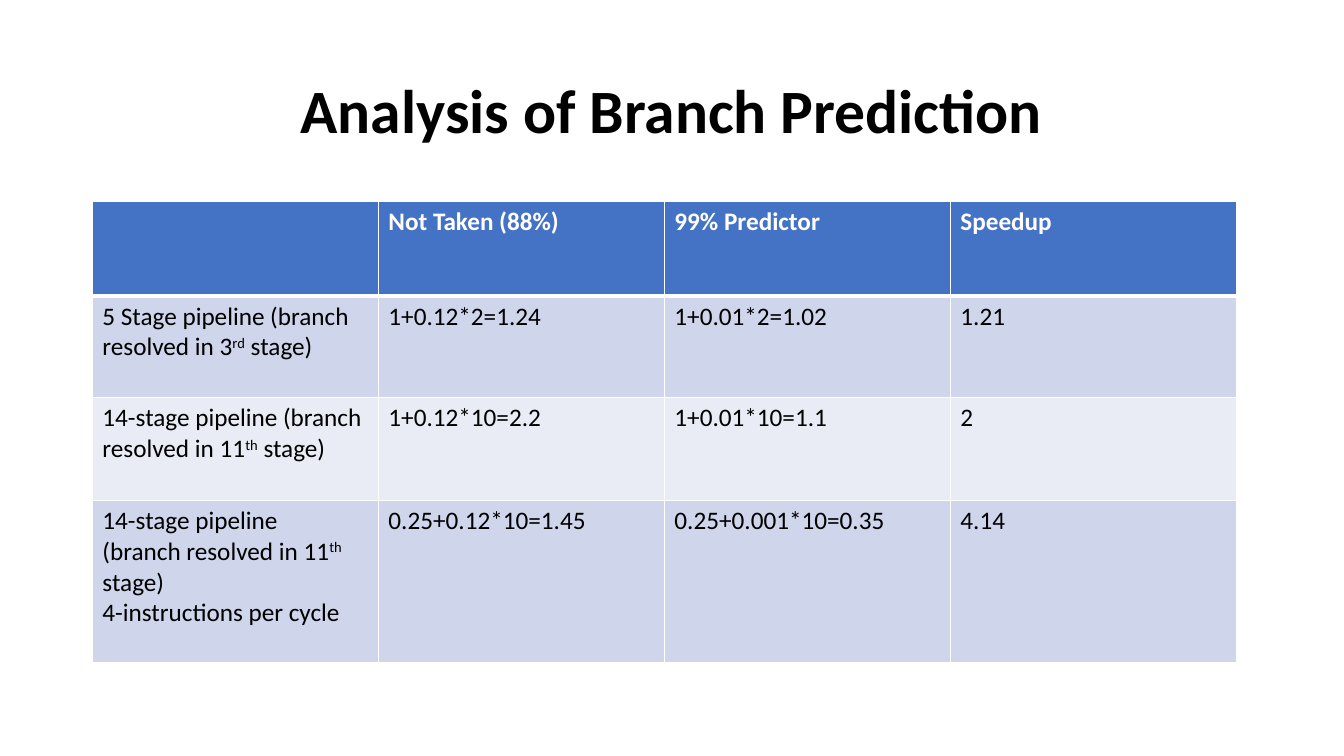
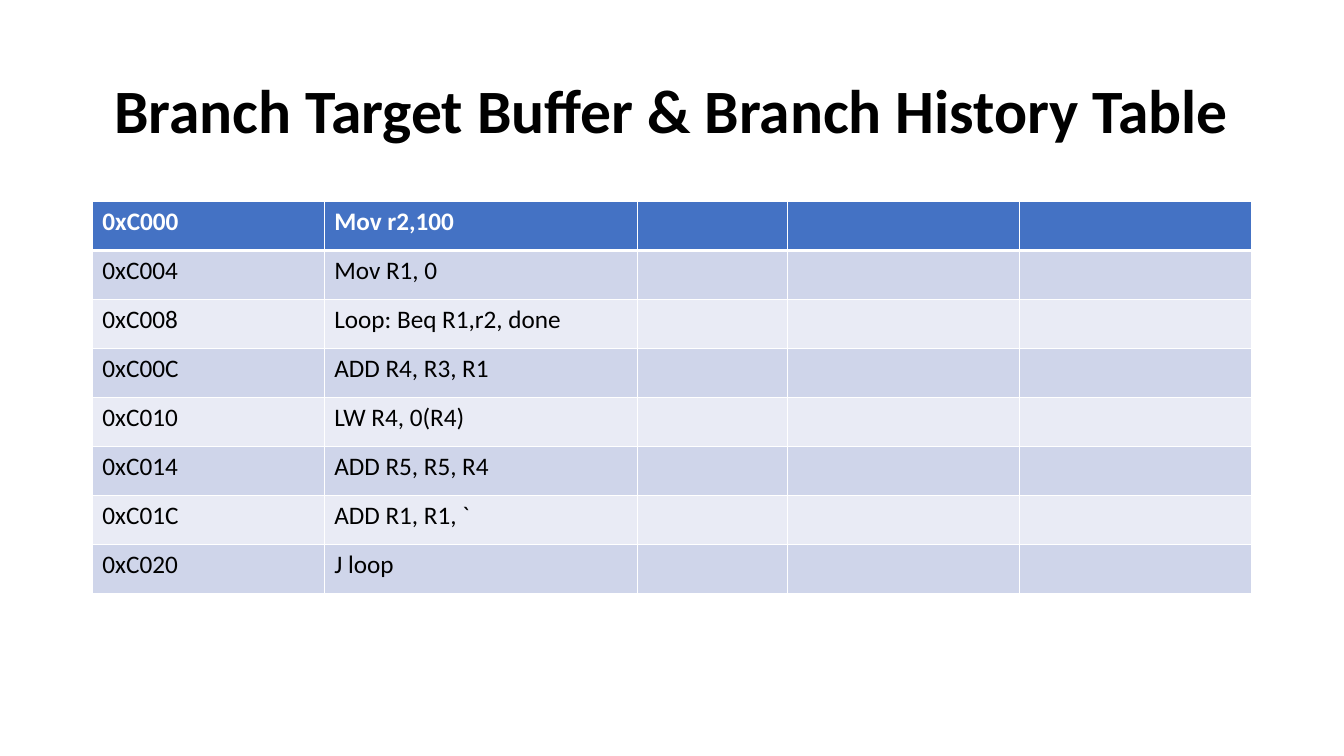
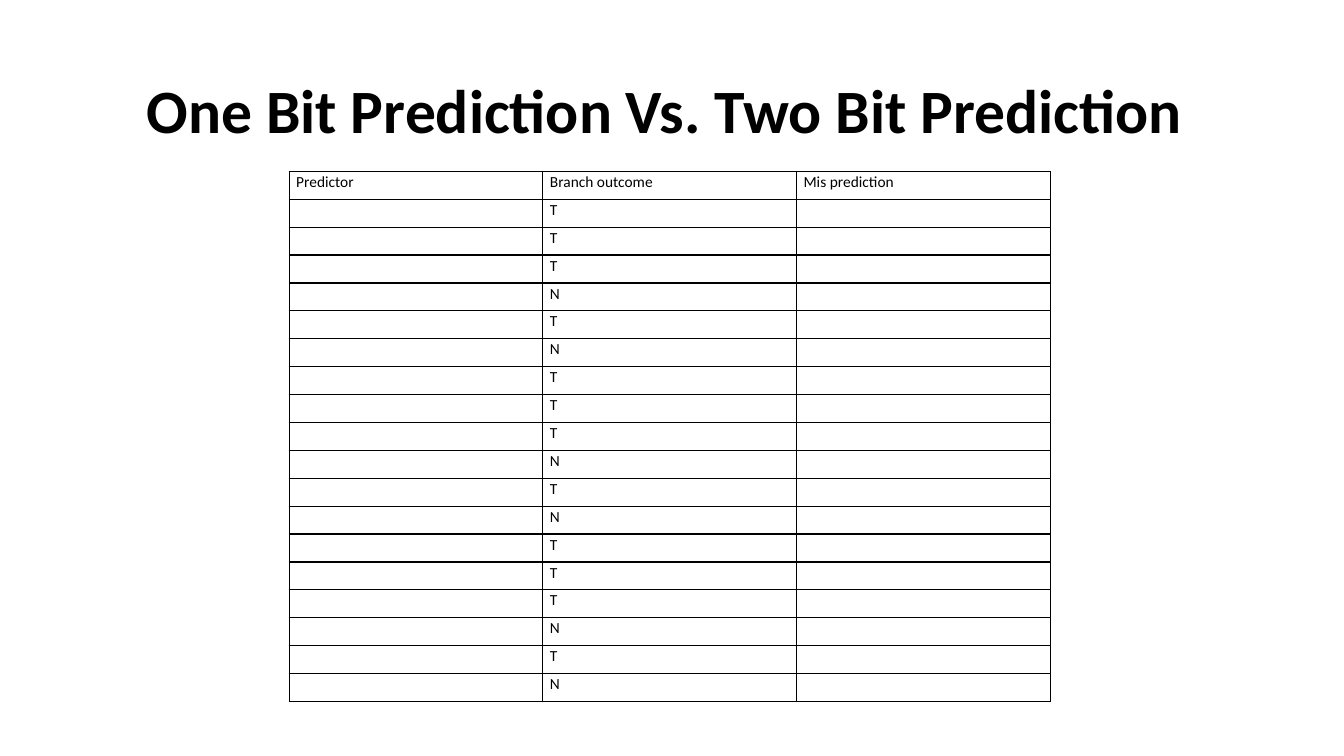
from lxml.etree import SubElement
from pptx import Presentation
from pptx.dml.color import RGBColor
from pptx.enum.text import MSO_ANCHOR, MSO_AUTO_SIZE, PP_ALIGN
from pptx.oxml.ns import qn
from pptx.util import Pt

FONT = "Calibri"
BLACK, WHITE, BLUE = "000000", "FFFFFF", "4472C4"
BANDS = ("CFD5EA", "E9EBF5")
TITLE_BOX = (66, 28.75, 828, 104.4)
BANDED = {"size": 18, "grid": WHITE, "header": BLUE, "bands": BANDS, "rule": 3,
          "margins": (7.2, 3.6), "spacing": 1}
PLAIN = {"size": 11, "grid": BLACK, "header": None, "bands": (None,), "rule": 1,
         "margins": (5.04, 0), "spacing": 1.07}

PIPELINES = [
    ["", "Not Taken (88%)", "99% Predictor", "Speedup"],
    ["5 Stage pipeline (branch resolved in 3^rd^ stage)",
     "1+0.12*2=1.24", "1+0.01*2=1.02", "1.21"],
    ["14-stage pipeline (branch resolved in 11^th^ stage)",
     "1+0.12*10=2.2", "1+0.01*10=1.1", "2"],
    ["14-stage pipeline\n(branch resolved in 11^th^ stage)\n4-instructions per cycle",
     "0.25+0.12*10=1.45", "0.25+0.001*10=0.35", "4.14"],
]
PROGRAM = [
    ("0xC000", "Mov r2,100"),
    ("0xC004", "Mov R1, 0"),
    ("0xC008", "Loop: Beq R1,r2, done"),
    ("0xC00C", "ADD R4, R3, R1"),
    ("0xC010", "LW R4, 0(R4)"),
    ("0xC014", "ADD R5, R5, R4"),
    ("0xC01C", "ADD R1, R1, `"),
    ("0xC020", "J loop"),
]
OUTCOMES = "TTTNTN" * 3


def rgb(color):
    return RGBColor.from_string(color)


def apply(obj, values):
    for name, value in values.items():
        setattr(obj, name, value)


def set_font(font, size, color, bold):
    apply(font, {"name": FONT, "size": Pt(size), "bold": bold})
    font.color.rgb = rgb(color)


def set_fill(cell, color):
    if color:
        cell.fill.solid()
        cell.fill.fore_color.rgb = rgb(color)
    else:
        cell.fill.background()


def set_borders(cell, color, widths):
    tcPr = cell._tc.get_or_add_tcPr()
    for i, (side, width) in enumerate(widths.items()):
        ln = SubElement(tcPr, qn(f"a:ln{side}"), w=str(Pt(width)))
        fill = SubElement(ln, qn("a:solidFill"))
        SubElement(fill, qn("a:srgbClr"), val=color)
        tcPr.insert(i, ln)


def write_cell(cell, text, style, color, bold):
    x, y = (Pt(v) for v in style["margins"])
    apply(cell, {"margin_left": x, "margin_right": x,
                 "margin_top": y, "margin_bottom": y})
    tf = cell.text_frame
    for i, line in enumerate(text.split("\n")):
        p = tf.add_paragraph() if i else tf.paragraphs[0]
        p.line_spacing = style["spacing"]
        for j, part in enumerate(line.split("^") if line else []):
            r = p.add_run()
            r.text = part
            set_font(r.font, style["size"], color, bold)
            if j % 2:
                r._r.get_or_add_rPr().set("baseline", "30000")
        p._p.get_or_add_endParaRPr().set("sz", str(style["size"] * 100))


def add_grid(s, left, top, cols, heights, rows, style):
    box = (left, top, sum(cols), sum(heights))
    table = s.shapes.add_table(len(heights), len(cols), *map(Pt, box)).table
    apply(table, {"first_row": False, "horz_banding": False})
    for col, width in zip(table.columns, cols):
        col.width = Pt(width)
    for i, (row, height, texts) in enumerate(zip(table.rows, heights, rows)):
        row.height = Pt(height)
        head = i == 0 and style["header"] is not None
        bands = style["bands"]
        fill = style["header"] if head else bands[(i - 1) % len(bands)]
        widths = {"L": 1, "R": 1, "T": style["rule"] if i == 1 else 1,
                  "B": style["rule"] if i == 0 else 1}
        for cell, text in zip(row.cells, texts):
            write_cell(cell, text, style, WHITE if head else BLACK, head)
            set_fill(cell, fill)
            set_borders(cell, style["grid"], widths)


def add_titled_slide(prs, title):
    s = prs.slides.add_slide(prs.slide_layouts[5])
    sp = s.shapes.title
    apply(sp, dict(zip(("left", "top", "width", "height"), map(Pt, TITLE_BOX))))
    tf = sp.text_frame
    tf.text = title
    apply(tf, {"word_wrap": True, "auto_size": MSO_AUTO_SIZE.NONE,
               "vertical_anchor": MSO_ANCHOR.MIDDLE})
    p = tf.paragraphs[0]
    apply(p, {"alignment": PP_ALIGN.CENTER, "line_spacing": 0.9})
    set_font(p.runs[0].font, 44, BLACK, True)
    return s


def main():
    prs = Presentation()
    apply(prs, {"slide_width": Pt(960), "slide_height": Pt(540)})

    s = add_titled_slide(prs, "Analysis of Branch Prediction")
    add_grid(s, 66, 144, [204.3] * 4, [67.5, 72.7, 73.4, 116], PIPELINES, BANDED)

    s = add_titled_slide(prs, "Branch Target Buffer & Branch History Table")
    rows = [(*line, "", "", "") for line in PROGRAM]
    add_grid(s, 66, 144, [165.6, 223.9, 107.3, 165.6, 165.6],
             [35] * len(rows), rows, BANDED)

    s = add_titled_slide(prs, "One Bit Prediction Vs. Two Bit Prediction ")
    rows = [("Predictor", "Branch outcome", "Mis prediction")]
    rows += [("", outcome, "") for outcome in OUTCOMES]
    add_grid(s, 206.6, 122.4, [181.2] * 3, [19.93] * len(rows), rows, PLAIN)

    prs.save("out.pptx")


if __name__ == "__main__":
    main()
